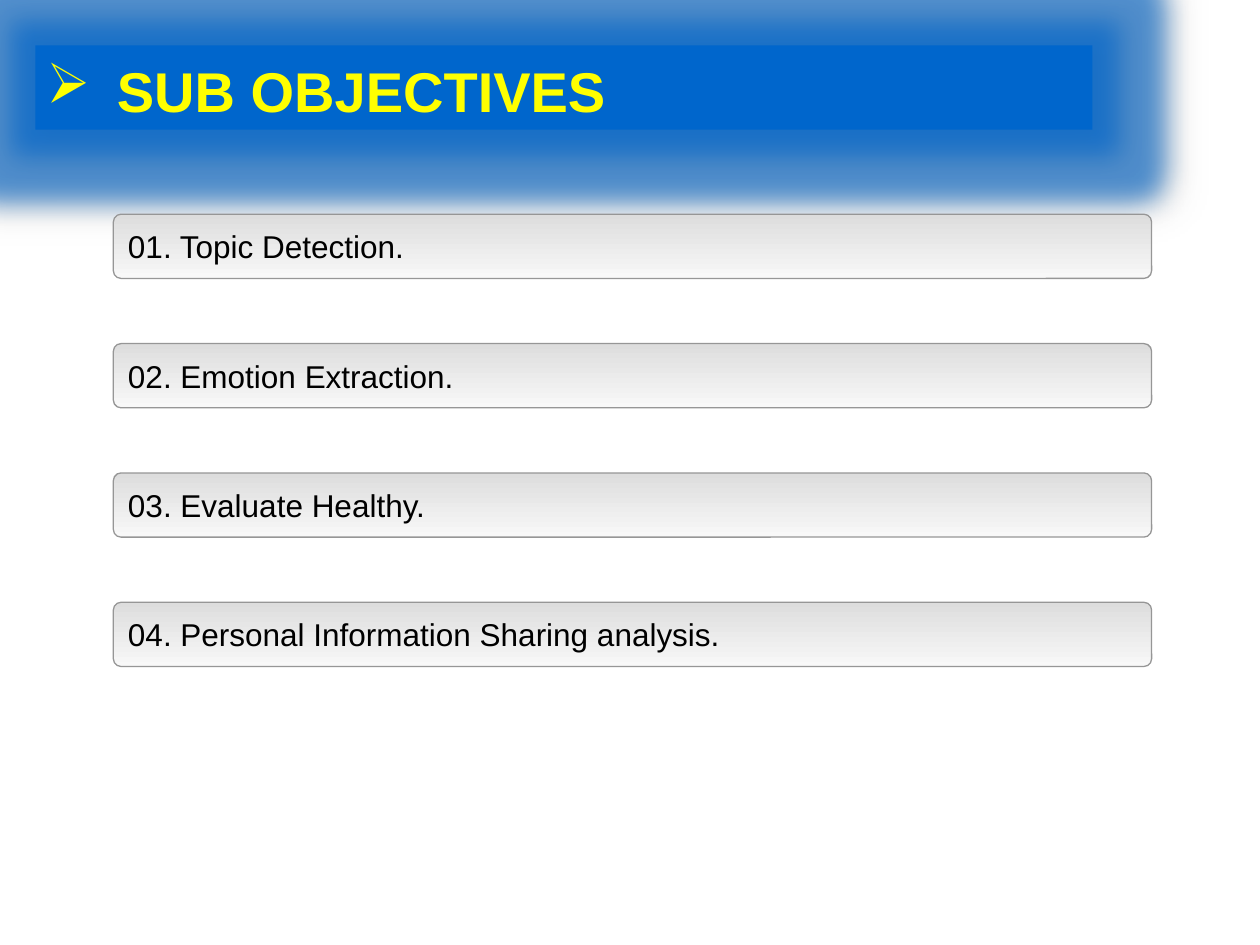
from dataclasses import dataclass

from lxml.etree import SubElement
from pptx import Presentation
from pptx.dml.color import RGBColor as Rgb
from pptx.enum.shapes import MSO_SHAPE as Shape
from pptx.enum.text import MSO_ANCHOR as Anchor, PP_ALIGN as Align
from pptx.oxml.ns import qn
from pptx.util import Inches, Pt


@dataclass(frozen=True)
class Theme:
    font: str = "Arial"
    title_size: int = 32
    item_size: int = 18
    banner: str = "0066CC"
    title: str = "FFFF00"
    shadow: str = "0D0D0D"
    item_text: str = "000000"
    item_top: str = "DDDDDD"
    item_bottom: str = "F8F8F8"
    item_line: str = "969696"


@dataclass(frozen=True)
class Area:
    left: float
    top: float
    width: float
    height: float

    def lengths(self) -> list:
        return [Inches(v) for v in (self.left, self.top, self.width, self.height)]


THEME = Theme()
OBJECTIVES = [
    "Topic Detection.",
    "Emotion Extraction.",
    "Evaluate Healthy.",
    "Personal Information Sharing analysis.",
]
FIRST_ITEM_TOP, LAST_ITEM_TOP = 1.7, 4.78


def write(para, text: str, size: int, color: str, bold: bool = False) -> None:
    para.text = text
    para.alignment = Align.LEFT
    para.font.name = THEME.font
    para.font.size = Pt(size)
    para.font.bold = bold
    para.font.color.rgb = Rgb.from_string(color)


def add_effect_color(effect, color: str, opacity: int) -> None:
    tint = SubElement(effect, qn("a:srgbClr"), val=color)
    SubElement(tint, qn("a:alpha"), val=str(opacity * 1000))


def add_banner(page, area: Area) -> None:
    box = page.shapes.add_shape(Shape.RECTANGLE, *area.lengths())
    box.fill.solid()
    box.fill.fore_color.rgb = Rgb.from_string(THEME.banner)
    box.line.fill.background()
    # Glow and soft shadow
    box.shadow.inherit = False
    effects = box._element.spPr.find(qn("a:effectLst"))
    glow = SubElement(effects, qn("a:glow"), rad=str(Pt(28)))
    add_effect_color(glow, THEME.banner, 60)
    shadow = SubElement(effects, qn("a:outerShdw"), blurRad=str(Pt(18)),
                        dist=str(Pt(3)), dir=str(45 * 60000))
    add_effect_color(shadow, THEME.shadow, 40)


def add_title(page, area: Area, text: str) -> None:
    box = page.shapes.add_textbox(*area.lengths())
    box.text_frame.word_wrap = True
    para = box.text_frame.paragraphs[0]
    write(para, text, THEME.title_size, THEME.title, bold=True)
    # Hanging arrow bullet
    props = para._p.get_or_add_pPr()
    props.set("marL", str(Inches(0.56)))
    props.set("indent", str(-Inches(0.56)))
    bullet = props.makeelement(qn("a:buChar"), {"char": "➢"})
    props.insert(0, bullet)


def add_objective(page, area: Area, text: str) -> None:
    box = page.shapes.add_shape(Shape.ROUNDED_RECTANGLE, *area.lengths())
    box.adjustments[0] = 0.12
    box.shadow.inherit = False
    box.fill.gradient()
    box.fill.gradient_angle = 270
    for stop, color in zip(box.fill.gradient_stops,
                           (THEME.item_top, THEME.item_bottom)):
        stop.color.rgb = Rgb.from_string(color)
    box.line.color.rgb = Rgb.from_string(THEME.item_line)
    box.line.width = Pt(0.75)
    frame = box.text_frame
    frame.word_wrap = True
    frame.vertical_anchor = Anchor.MIDDLE
    write(frame.paragraphs[0], text, THEME.item_size, THEME.item_text)


def main() -> None:
    deck = Presentation()
    deck.slide_width, deck.slide_height = Inches(10), Inches(7.5)
    page = deck.slides.add_slide(deck.slide_layouts[6])

    # Heading
    add_banner(page, Area(0.28, 0.36, 8.39, 0.67))
    add_title(page, Area(0.27, 0.4, 6.36, 0.64), "SUB OBJECTIVES")

    # Numbered objectives, evenly spaced
    pitch = (LAST_ITEM_TOP - FIRST_ITEM_TOP) / (len(OBJECTIVES) - 1)
    for index, objective in enumerate(OBJECTIVES):
        area = Area(0.9, FIRST_ITEM_TOP + index * pitch, 8.24, 0.51)
        add_objective(page, area, f"{index + 1:02}. {objective}")

    deck.save("out.pptx")


if __name__ == "__main__":
    main()
